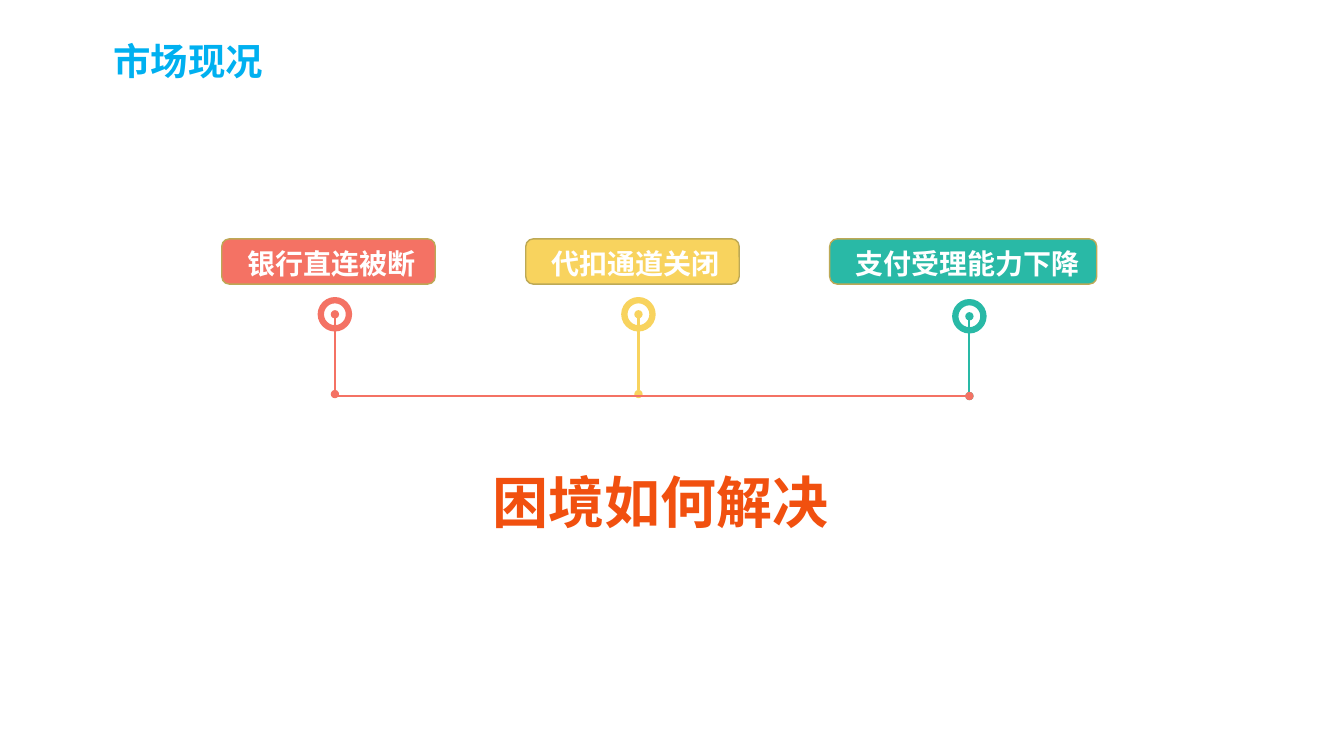
from lxml.etree import SubElement
from pptx import Presentation
from pptx.dml.color import RGBColor
from pptx.enum.shapes import MSO_CONNECTOR as Connector, MSO_SHAPE as Shape
from pptx.enum.text import MSO_ANCHOR as Anchor, MSO_AUTO_SIZE as AutoSize, PP_ALIGN as Align
from pptx.oxml.ns import qn
from pptx.util import Cm, Pt

FONT = "Noto Sans CJK SC"
CORAL, YELLOW, TEAL = "F47264", "F8D35E", "29B9A6"
PILL_LEFT, PILL_PITCH = 5.59, 7.66
RING_SIZE, STEM_HEIGHT = 0.71, 2.01
TOPICS = [
    ("银行直连被断", CORAL, 5.38, 8.44, 7.92),
    ("代扣通道关闭", YELLOW, 5.38, 16.09, 7.92),
    ("支付受理能力下降", TEAL, 6.73, 24.43, 7.97),
]


def rgb(value):
    """Turn a hex string into a colour."""
    return RGBColor.from_string(value)


def write(frame, text, size, color, align=Align.LEFT, anchor=Anchor.TOP):
    """Write one bold paragraph into a text frame."""
    frame.word_wrap = True
    frame.auto_size = AutoSize.NONE
    frame.vertical_anchor = anchor
    paragraph = frame.paragraphs[0]
    paragraph.text = text
    paragraph.alignment = align
    font = paragraph.font
    font.size, font.bold, font.name = Pt(size), True, FONT
    font.color.rgb = rgb(color)
    defaults = paragraph._p.pPr.find(qn("a:defRPr"))
    SubElement(defaults, qn("a:ea"), typeface=FONT)


def add_outlined(slide, kind, left, top, width, height, fill, line, weight):
    """Add a flat preset shape with its own fill and outline."""
    shape = slide.shapes.add_shape(kind, Cm(left), Cm(top), Cm(width), Cm(height))
    shape.shadow.inherit = False
    shape.fill.solid()
    shape.fill.fore_color.rgb = rgb(fill)
    shape.line.color.rgb = rgb(line)
    shape.line.width = Pt(weight)
    return shape


def add_dotted_line(slide, start, end, color, ends):
    """Add a line with a round dot at each of the named ends."""
    line = slide.shapes.add_connector(Connector.STRAIGHT, *map(Cm, start + end))
    line.line.color.rgb = rgb(color)
    line.line.width = Pt(1.5)
    for end_name in ends:
        SubElement(line.line._get_or_add_ln(), qn(f"a:{end_name}"), type="oval")
    SubElement(line._element.spPr, qn("a:effectLst"))


def add_topic(slide, index, label, color, pill_width, center_x, center_y):
    """Add a labelled pill with the ring and stem below it."""
    add_outlined(slide, Shape.OVAL, center_x - RING_SIZE / 2, center_y - RING_SIZE / 2,
                 RING_SIZE, RING_SIZE, "FFFFFF", color, 4.5)
    add_dotted_line(slide, (center_x, center_y + STEM_HEIGHT), (center_x, center_y),
                    color, ("headEnd", "tailEnd"))
    pill = add_outlined(slide, Shape.ROUNDED_RECTANGLE, PILL_LEFT + index * PILL_PITCH, 6.02,
                        pill_width, 1.14, color, "BDA956", 1)
    frame = pill.text_frame
    frame.margin_left, frame.margin_right = Cm(0.6), Cm(0)
    frame.margin_top, frame.margin_bottom = Cm(0.08), Cm(0)
    write(frame, label, 20, "FFFFFF", anchor=Anchor.MIDDLE)


def add_title(slide, text):
    """Place the slide title in the upper left corner."""
    title = slide.shapes.title
    title.left, title.top, title.width, title.height = Cm(2.25), Cm(0.86), Cm(5), Cm(1.32)
    frame = title.text_frame
    frame.margin_left = frame.margin_right = Cm(0.18)
    frame.margin_top = frame.margin_bottom = Cm(0.1)
    write(frame, text, 26.7, "00B0F0", Align.CENTER)


def add_question(slide, text):
    """Add the large question below the diagram."""
    question = slide.shapes.add_textbox(Cm(12.17), Cm(11.66), Cm(12.93), Cm(1.96))
    write(question.text_frame, text, 40, "F1500F")


def main():
    """Build the slide and save it."""
    deck = Presentation()
    deck.slide_width, deck.slide_height = Cm(33.87), Cm(19.05)
    slide = deck.slides.add_slide(deck.slide_layouts[5])
    add_title(slide, "市场现况")
    for index, topic in enumerate(TOPICS):
        add_topic(slide, index, *topic)
    add_question(slide, "困境如何解决")
    first_x, last_x = TOPICS[0][3], TOPICS[-1][3]
    add_dotted_line(slide, (last_x, 9.98), (first_x, 9.98), CORAL, ("headEnd",))
    deck.save("out.pptx")


if __name__ == "__main__":
    main()
